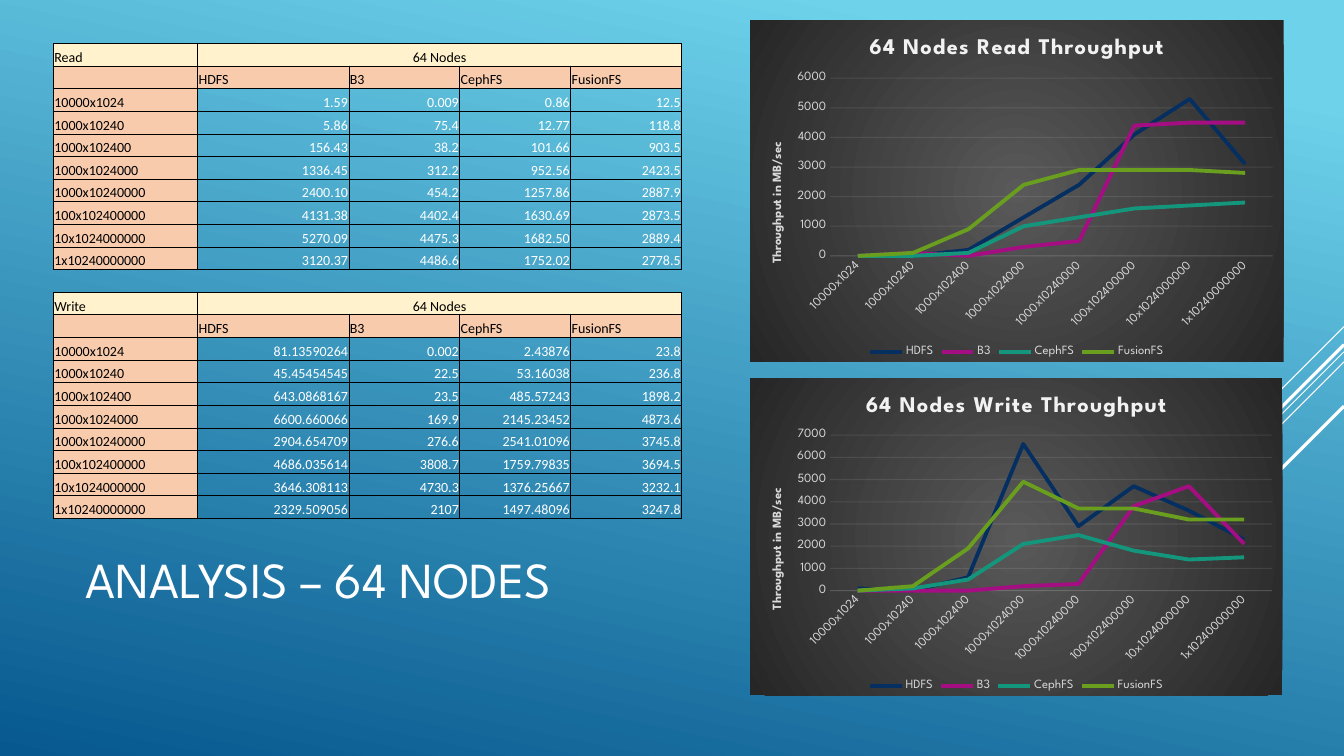
from lxml import etree
from pptx import Presentation
from pptx.chart.data import CategoryChartData
from pptx.dml.color import RGBColor
from pptx.enum.chart import XL_CHART_TYPE, XL_LEGEND_POSITION, XL_TICK_MARK
from pptx.enum.shapes import MSO_CONNECTOR
from pptx.enum.text import MSO_ANCHOR, PP_ALIGN
from pptx.oxml import parse_xml
from pptx.oxml.ns import nsdecls, qn
from pptx.util import Inches, Pt

LINE_CHART = XL_CHART_TYPE.LINE
LEGEND_BOTTOM = XL_LEGEND_POSITION.BOTTOM
NO_TICK = XL_TICK_MARK.NONE
STRAIGHT = MSO_CONNECTOR.STRAIGHT
BOTTOM, MIDDLE = MSO_ANCHOR.BOTTOM, MSO_ANCHOR.MIDDLE
LEFT, CENTER, RIGHT = PP_ALIGN.LEFT, PP_ALIGN.CENTER, PP_ALIGN.RIGHT

COLORS = {
    "sky": "6ED2EB", "deep": "06588E", "white": "FFFFFF", "black": "000000",
    "cream": "FFF2CC", "peach": "F8CBAD", "pale": "F2F2F2", "label": "D9D9D9",
    "center": "595959", "edge": "262626",
    "navy": "052F61", "magenta": "A50E82", "teal": "14967C", "green": "6A9E1F",
}
HEAD_FONT, TABLE_FONT = "League Spartan", "Calibri"

TITLE = "ANALYSIS – 64 NODES"
SYSTEMS = ["HDFS", "B3", "CephFS", "FusionFS"]
SERIES_COLORS = ["navy", "magenta", "teal", "green"]
LOADS = ["10000x1024", "1000x10240", "1000x102400", "1000x1024000",
         "1000x10240000", "100x102400000", "10x1024000000", "1x10240000000"]
RESULTS = {
    "Read": [
        ("1.59", "0.009", "0.86", "12.5"),
        ("5.86", "75.4", "12.77", "118.8"),
        ("156.43", "38.2", "101.66", "903.5"),
        ("1336.45", "312.2", "952.56", "2423.5"),
        ("2400.10", "454.2", "1257.86", "2887.9"),
        ("4131.38", "4402.4", "1630.69", "2873.5"),
        ("5270.09", "4475.3", "1682.50", "2889.4"),
        ("3120.37", "4486.6", "1752.02", "2778.5"),
    ],
    "Write": [
        ("81.13590264", "0.002", "2.43876", "23.8"),
        ("45.45454545", "22.5", "53.16038", "236.8"),
        ("643.0868167", "23.5", "485.57243", "1898.2"),
        ("6600.660066", "169.9", "2145.23452", "4873.6"),
        ("2904.654709", "276.6", "2541.01096", "3745.8"),
        ("4686.035614", "3808.7", "1759.79835", "3694.5"),
        ("3646.308113", "4730.3", "1376.25667", "3232.1"),
        ("2329.509056", "2107", "1497.48096", "3247.8"),
    ],
}
CHARTS = [
    ("Read", (7.44, 0.2, 5.29, 3.39), 6000, (0.15, 0.17, 0.83, 0.52), (0.035, 0.35)),
    ("Write", (7.44, 3.75, 5.28, 3.15), 7000, (0.15, 0.18, 0.83, 0.49), (0.035, 0.34)),
]
RAYS = [(3.24, 1.0, 0.75), (3.49, 3.26, 0.75), (3.59, 2.07, 0.75),
        (3.42, 1.91, 2.25), (4.03, 1.39, 2.25)]
SLIDE_W, SLIDE_H = 13.33, 7.5
TABLE_BOX = (0.53, 0.43, 6.23, 4.72)
COL_WIDTHS = [1.43, 1.5, 1.1, 1.1, 1.1]


def rgb(name):
    return RGBColor.from_string(COLORS[name])


def box(values):
    return [Inches(v) for v in values]


def style(font, size, color, name=HEAD_FONT, bold=False):
    font.size, font.name, font.bold = Pt(size), name, bold
    font.color.rgb = rgb(color)


def add_rays(s):
    for top, reach, width in RAYS:
        ray = s.shapes.add_connector(
            STRAIGHT, *box((SLIDE_W, top, SLIDE_W - reach, top + reach)))
        ray.line.color.rgb = rgb("white")
        ray.line.width = Pt(width)
        etree.SubElement(ray._element.spPr, qn("a:effectLst"))


def add_title(s):
    tf = s.shapes.add_textbox(*box((0.75, 4.91, 9.33, 1.65))).text_frame
    tf.word_wrap, tf.vertical_anchor = True, MIDDLE
    r = tf.paragraphs[0].add_run()
    r.text = TITLE
    style(r.font, 36, "white")


def set_cell(cell, text, fill, align=LEFT, color="black", sides="LRTB"):
    cell.vertical_anchor = BOTTOM
    cell.margin_left = cell.margin_right = cell.margin_top = Inches(0.01)
    cell.margin_bottom = 0
    if fill:
        cell.fill.solid()
        cell.fill.fore_color.rgb = rgb(fill)
    else:
        cell.fill.background()
    p = cell.text_frame.paragraphs[0]
    p.alignment = align
    if text:
        r = p.add_run()
        r.text = text
        style(r.font, 10, color, TABLE_FONT)
    else:
        etree.SubElement(p._p, qn("a:endParaRPr"), sz="1000")
    for i, side in enumerate("LRTB"):
        paint = (f'<a:solidFill><a:srgbClr val="{COLORS["black"]}"/></a:solidFill>'
                 if side in sides else "<a:noFill/>")
        cell._tc.tcPr.insert(i, parse_xml(
            f'<a:ln{side} {nsdecls("a")} w="6350">{paint}</a:ln{side}>'))


def table_rows():
    for name, values in RESULTS.items():
        if name != "Read":
            yield "gap", [""] * 5
        yield "head", [name, "64 Nodes", "", "", ""]
        yield "systems", [""] + SYSTEMS
        for load, row in zip(LOADS, values):
            yield "data", [load, *row]


def add_results(s):
    rows = list(table_rows())
    table = s.shapes.add_table(len(rows), len(COL_WIDTHS), *box(TABLE_BOX)).table
    table.first_row = table.horz_banding = False
    for col, width in zip(table.columns, COL_WIDTHS):
        col.width = Inches(width)
    for i, (kind, texts) in enumerate(rows):
        table.rows[i].height = Inches(TABLE_BOX[3] / len(rows))
        for j, text in enumerate(texts):
            cell = table.cell(i, j)
            if kind == "gap":
                set_cell(cell, text, None, sides="TB")
            elif kind == "head":
                set_cell(cell, text, "cream", CENTER if j else LEFT)
            elif kind == "systems" or j == 0:
                set_cell(cell, text, "peach")
            else:
                set_cell(cell, text, None, RIGHT, "white")
        if kind == "head":
            table.cell(i, 1).merge(table.cell(i, 4))


def layout(parent, after, values, inner=False):
    for old in parent.findall(qn("c:layout")):
        parent.remove(old)
    target = '<c:layoutTarget val="inner"/>' if inner else ""
    modes = '<c:xMode val="edge"/><c:yMode val="edge"/>'
    sizes = "".join(f'<c:{k} val="{v}"/>' for k, v in zip("xywh", values))
    node = parse_xml(f'<c:layout {nsdecls("c")}><c:manualLayout>{target}{modes}{sizes}'
                     '</c:manualLayout></c:layout>')
    if after is None:
        parent.insert(0, node)
    else:
        after.addnext(node)


def faint(line):
    line.color.rgb = rgb("pale")
    line.width = Pt(0.75)
    color = line._ln.find(".//" + qn("a:srgbClr"))
    etree.SubElement(color, qn("a:alpha"), val="10000")


def heading(tf, text, size, color):
    r = tf.paragraphs[0].add_run()
    r.text = text
    style(r.font, size, color, bold=True)
    return r


def add_throughput(s, name, place, top, plot, caption):
    data = CategoryChartData(number_format="0")
    data.categories = LOADS
    for system, column in zip(SYSTEMS, zip(*RESULTS[name])):
        data.add_series(system, [round(float(v), -2) for v in column])
    chart = s.shapes.add_chart(LINE_CHART, *box(place), data).chart
    style(chart.font, 10, "white")
    stops = "".join(f'<a:gs pos="{pos}"><a:srgbClr val="{COLORS[c]}"/></a:gs>'
                    for pos, c in ((0, "center"), (100000, "edge")))
    chart._chartSpace.chart.addnext(parse_xml(
        f'<c:spPr {nsdecls("c", "a")}><a:gradFill><a:gsLst>{stops}</a:gsLst>'
        '<a:path path="circle"><a:fillToRect l="50000" t="50000" r="50000" b="50000"/>'
        '</a:path></a:gradFill><a:ln><a:noFill/></a:ln></c:spPr>'))
    r = heading(chart.chart_title.text_frame, f"64 Nodes {name} Throughput", 16, "pale")
    r.font._element.set("spc", "100")
    chart.chart_title.include_in_layout = False
    chart.has_legend = True
    chart.legend.position, chart.legend.include_in_layout = LEGEND_BOTTOM, False
    style(chart.legend.font, 9, "label")
    cat, val = chart.category_axis, chart.value_axis
    for axis in (cat, val):
        axis.major_tick_mark = axis.minor_tick_mark = NO_TICK
        style(axis.tick_labels.font, 9, "label")
    cat._element.txPr.find(qn("a:bodyPr")).set("rot", "-2700000")
    faint(cat.format.line)
    faint(val.major_gridlines.format.line)
    val.format.line.fill.background()
    val.minimum_scale, val.maximum_scale, val.major_unit = 0, top, 1000
    val.tick_labels.number_format = "0"
    val.tick_labels.number_format_is_linked = False
    tf = val.axis_title.text_frame
    heading(tf, "Throughput in MB/sec", 9, "label")
    tf._txBody.bodyPr.set("rot", "-5400000")
    title = val.axis_title._element
    layout(title, title.find(qn("c:tx")), caption)
    layout(chart._chartSpace.chart.plotArea, None, plot, inner=True)
    chart.plots[0].vary_by_categories = False
    for series, color in zip(chart.plots[0].series, SERIES_COLORS):
        series.smooth = False
        series.format.line.color.rgb = rgb(color)
        series.format.line.width = Pt(2.75)


def main():
    prs = Presentation()
    prs.slide_width, prs.slide_height = Inches(SLIDE_W), Inches(SLIDE_H)
    s = prs.slides.add_slide(prs.slide_layouts[6])
    fill = s.background.fill
    fill.gradient()
    fill.gradient_angle = 258
    for stop, color, pos in zip(fill.gradient_stops, ("sky", "deep"), (0.1, 1)):
        stop.color.rgb, stop.position = rgb(color), pos
    add_rays(s)
    add_title(s)
    add_results(s)
    for spec in CHARTS:
        add_throughput(s, *spec)
    prs.save("out.pptx")


if __name__ == "__main__":
    main()
